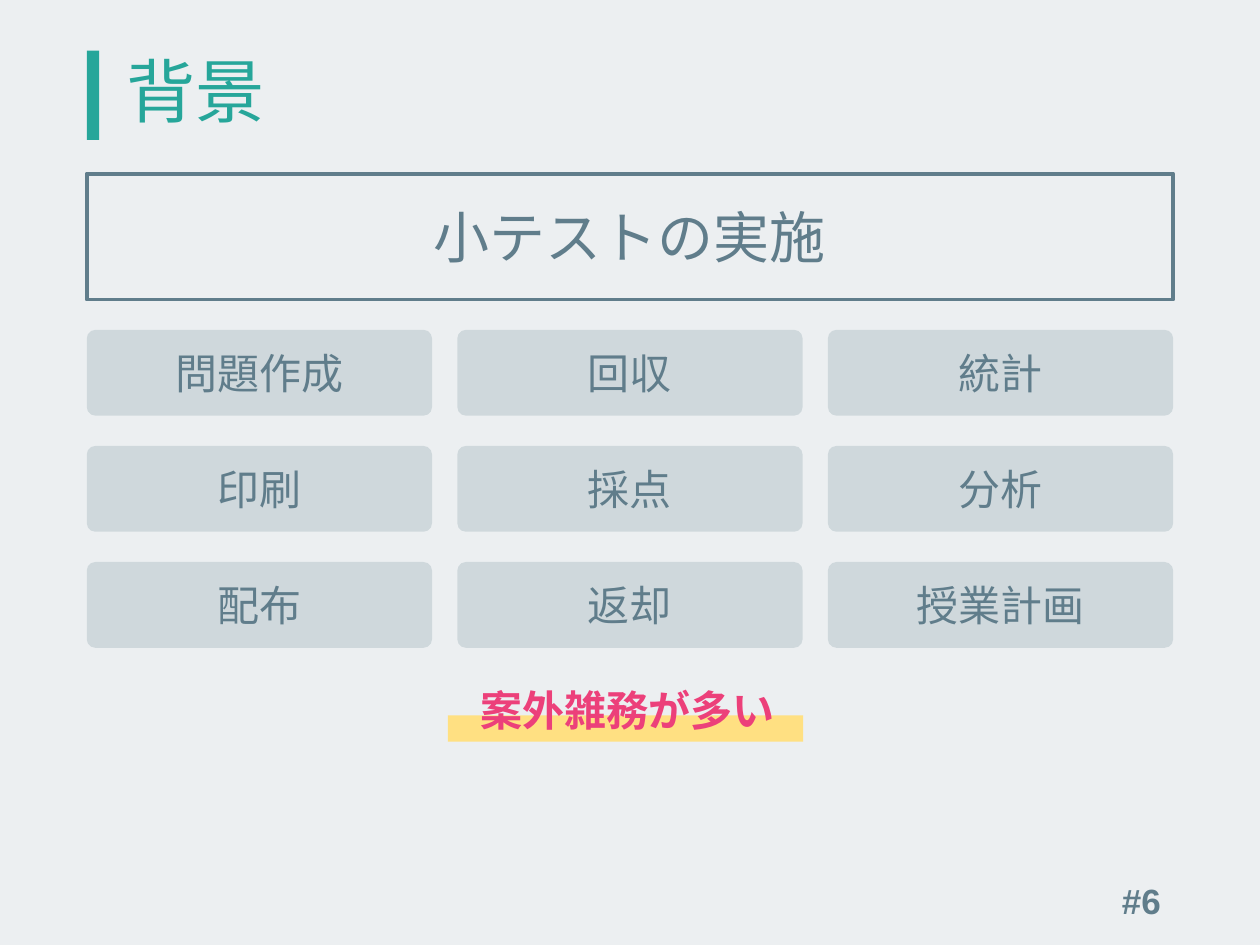
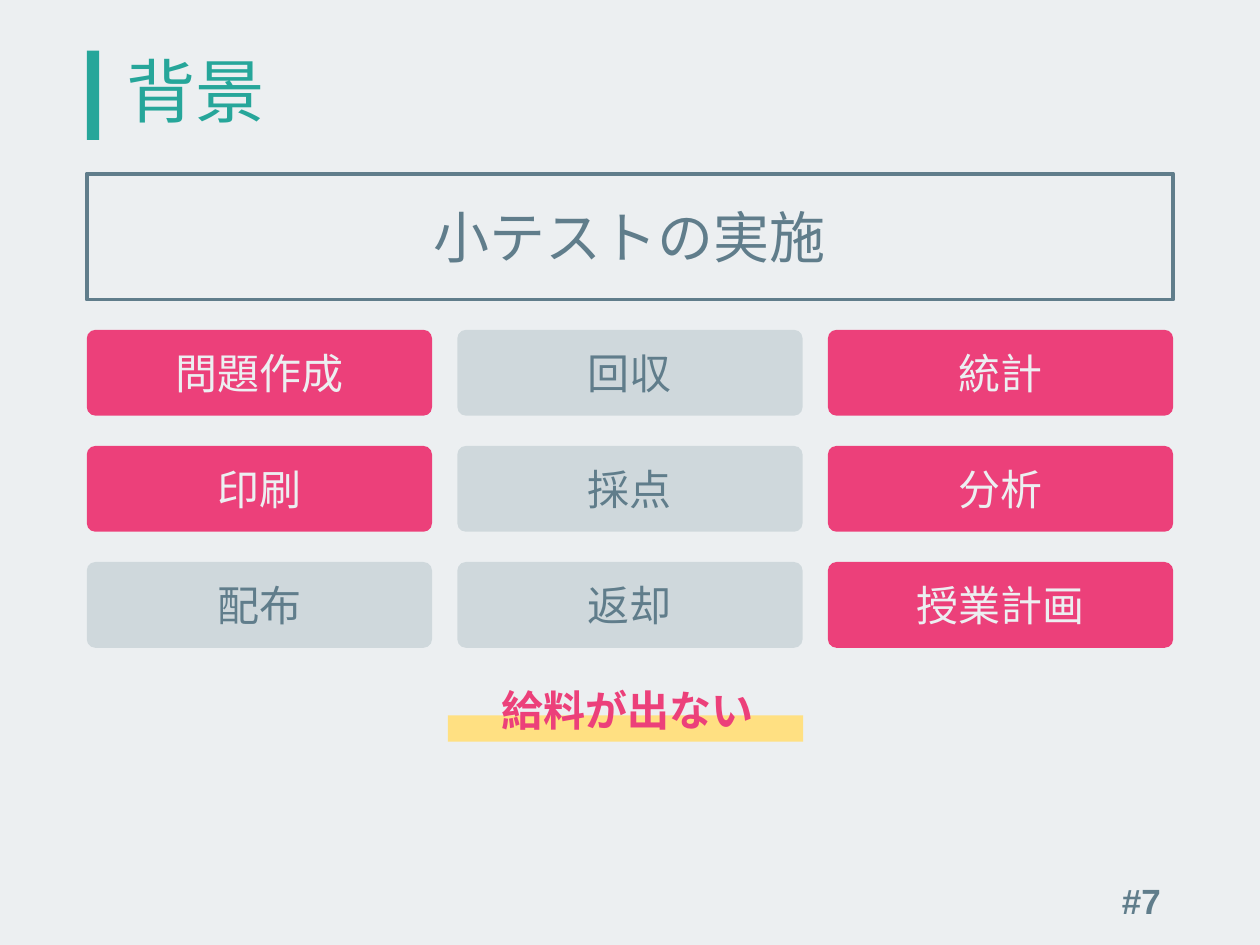
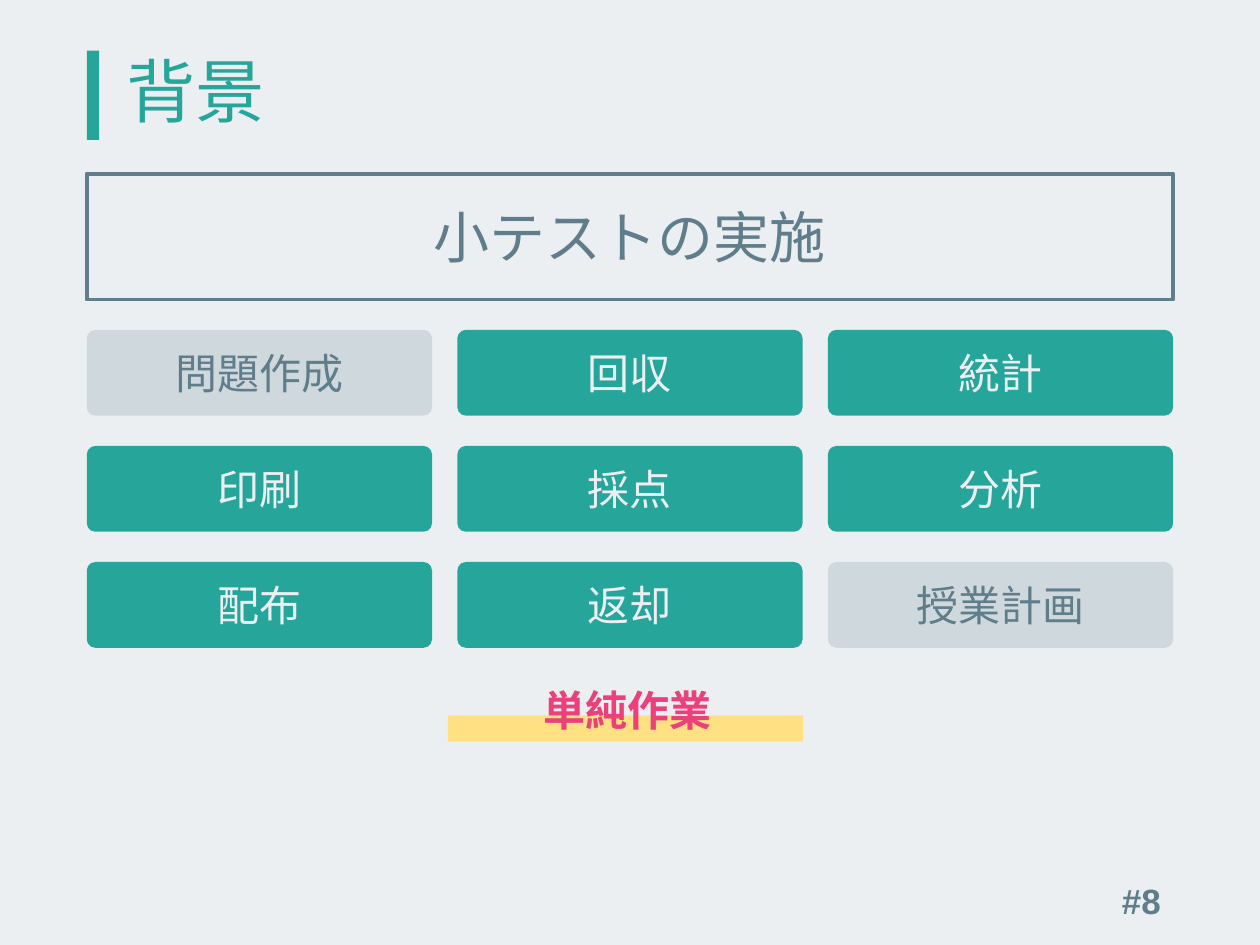
"""Build three slides on the chores behind running a quiz."""
import lxml.etree
import pptx
import pptx.dml.color
import pptx.enum.shapes
import pptx.enum.text
import pptx.oxml.ns
import pptx.util

Cm = pptx.util.Cm
Pt = pptx.util.Pt
SHAPE = pptx.enum.shapes.MSO_SHAPE
ALIGN = pptx.enum.text.PP_ALIGN
ANCHOR = pptx.enum.text.MSO_ANCHOR
AUTO_SIZE = pptx.enum.text.MSO_AUTO_SIZE

COLORS = {
    "background": "ECEFF1",
    "card": "CFD8DC",
    "slate": "607D8B",
    "teal": "26A69A",
    "pink": "EC407A",
    "yellow": "FFE082",
}
BODY_FONT = "Noto Sans CJK JP"
NUMBER_FONT = "Arial"

LEFT = 1.75
CONTENT_WIDTH = 21.9
TITLE_TOP, TITLE_HEIGHT = 1.02, 1.8
CARD_TOP, CARD_WIDTH, CARD_HEIGHT = 6.65, 6.96, 1.73
COLUMN_STEP = (CONTENT_WIDTH - CARD_WIDTH) / 2
ROW_STEP = 2.34

TITLE = "背景"
TOPIC = "小テストの実施"
TASK_COLUMNS = [
    ["問題作成", "印刷", "配布"],
    ["回収", "採点", "返却"],
    ["統計", "分析", "授業計画"],
]
SLIDES = [
    {"number": 6, "message": "案外雑務が多い", "accent": "card", "marked": set()},
    {"number": 7, "message": "給料が出ない", "accent": "pink",
     "marked": {"問題作成", "印刷", "統計", "分析", "授業計画"}},
    {"number": 8, "message": "単純作業", "accent": "teal",
     "marked": {"印刷", "配布", "回収", "採点", "返却", "統計", "分析"}},
]


def rgb(name):
    """Return the named colour."""
    return pptx.dml.color.RGBColor.from_string(COLORS[name])


def write(shape, text, size, color, align=ALIGN.CENTER, font=BODY_FONT, bold=False):
    """Put one formatted line of text into a shape."""
    frame = shape.text_frame
    frame.text = text
    frame.word_wrap = True
    frame.vertical_anchor = ANCHOR.MIDDLE
    para = frame.paragraphs[0]
    para.alignment = align
    span = para.runs[0]
    span.font.name = font
    span.font.size = Pt(size)
    span.font.bold = bold
    span.font.color.rgb = rgb(color)
    east_asian = lxml.etree.SubElement(
        span.font._element, pptx.oxml.ns.qn("a:ea"))
    east_asian.set("typeface", font)


def add_block(page, kind, left, top, width, height, fill=None):
    """Add a flat shape without a line, filled if a colour is given."""
    block = page.shapes.add_shape(kind, Cm(left), Cm(top), Cm(width), Cm(height))
    block.shadow.inherit = False
    block.line.fill.background()
    if fill:
        block.fill.solid()
        block.fill.fore_color.rgb = rgb(fill)
    else:
        block.fill.background()
    return block


def add_title(page):
    """Place the accent bar and the slide title."""
    add_block(page, SHAPE.RECTANGLE, LEFT, TITLE_TOP, 0.25, TITLE_HEIGHT, "teal")
    title = page.shapes.title
    title.left, title.top = Cm(2.3), Cm(TITLE_TOP)
    title.width, title.height = Cm(21.35), Cm(TITLE_HEIGHT)
    write(title, TITLE, 39.6, "teal", ALIGN.LEFT)
    title.text_frame.auto_size = AUTO_SIZE.NONE
    title.text_frame.paragraphs[0].line_spacing = 0.9


def add_number(page, number):
    """Place the slide number at the bottom right."""
    box = page.shapes.add_textbox(Cm(17.93), Cm(17.65), Cm(5.72), Cm(1.02))
    write(box, f"#{number}", 20, "slate", ALIGN.RIGHT, NUMBER_FONT, True)


def add_topic(page):
    """Add the outlined box that names the topic."""
    topic = add_block(page, SHAPE.RECTANGLE, LEFT, 3.5, CONTENT_WIDTH, 2.54)
    topic.line.color.rgb = rgb("slate")
    topic.line.width = Pt(2.25)
    write(topic, TOPIC, 32, "slate")


def add_tasks(page, marked, accent):
    """Lay out the task cards in a grid and colour the marked ones."""
    for column, tasks in enumerate(TASK_COLUMNS):
        for row, task in enumerate(tasks):
            card = add_block(
                page, SHAPE.ROUNDED_RECTANGLE,
                LEFT + column * COLUMN_STEP, CARD_TOP + row * ROW_STEP,
                CARD_WIDTH, CARD_HEIGHT, accent if task in marked else "card")
            card.adjustments[0] = 0.1
            write(card, task, 24, "background" if task in marked else "slate")


def add_message(page, message):
    """Add the closing message over its highlighter stroke."""
    add_block(page, SHAPE.RECTANGLE, 9.03, 14.42, 7.16, 0.53, "yellow")
    box = page.shapes.add_textbox(Cm(9.12), Cm(13.67), Cm(7.06), Cm(1.27))
    write(box, message, 24, "pink", bold=True)
    box.text_frame.vertical_anchor = ANCHOR.TOP


def main():
    """Build and save the deck."""
    deck = pptx.Presentation()
    deck.slide_width, deck.slide_height = Cm(25.4), Cm(19.05)
    backdrop = deck.slide_master.background.fill
    backdrop.solid()
    backdrop.fore_color.rgb = rgb("background")
    for content in SLIDES:
        page = deck.slides.add_slide(deck.slide_layouts.get_by_name("Title Only"))
        add_title(page)
        add_number(page, content["number"])
        add_topic(page)
        add_tasks(page, content["marked"], content["accent"])
        add_message(page, content["message"])
    deck.save("out.pptx")


if __name__ == "__main__":
    main()
